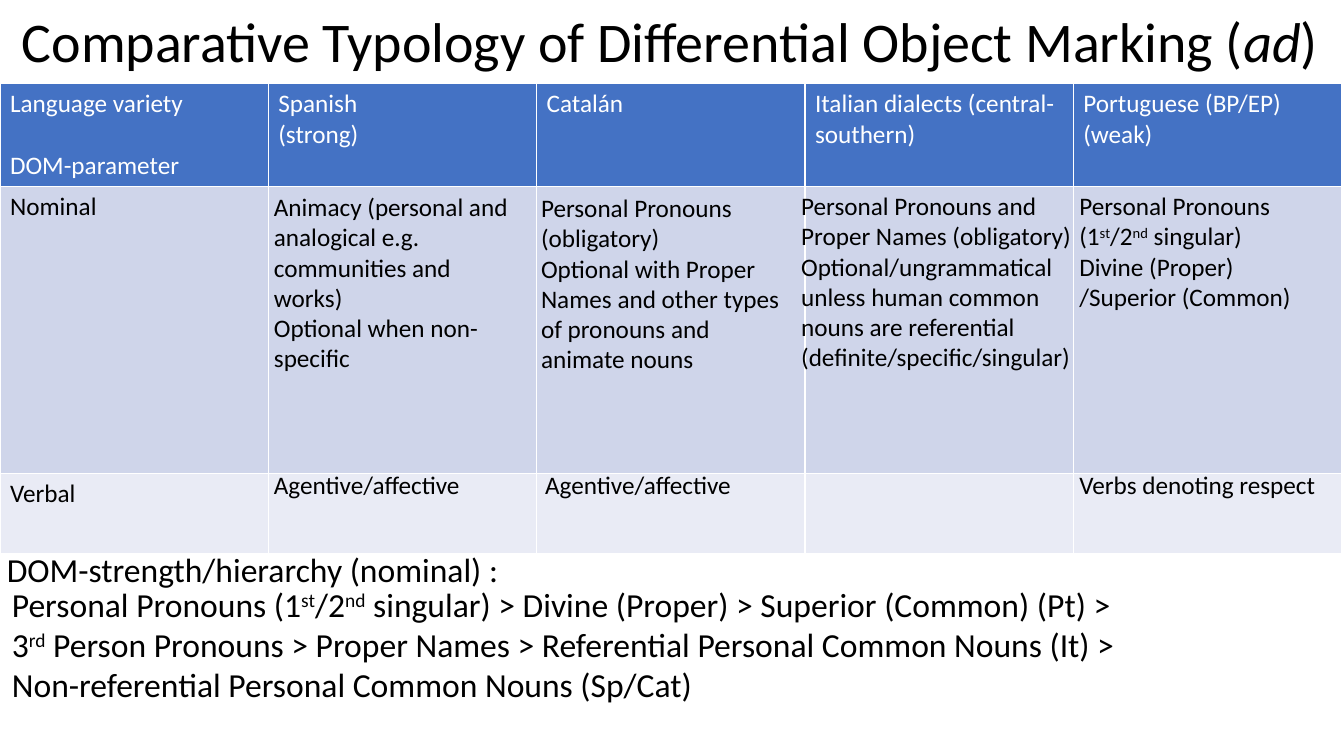
from lxml import etree
from pptx import Presentation
from pptx.dml.color import RGBColor
from pptx.enum.text import MSO_ANCHOR, MSO_AUTO_SIZE, PP_ALIGN
from pptx.oxml.ns import qn
from pptx.util import Pt

CENTER = PP_ALIGN.CENTER
MIDDLE = MSO_ANCHOR.MIDDLE
GROW = MSO_AUTO_SIZE.SHAPE_TO_FIT_TEXT
FIXED = MSO_AUTO_SIZE.NONE
TITLE_ONLY = 5

FONT = "Calibri"
COLORS = {"text": "000000", "white": "FFFFFF", "header": "4472C4",
          "nominal": "CFD5EA", "verbal": "E9EBF5"}

# In all texts, ^...^ marks superscript and *...* marks italics.
TITLE = "Comparative Typology of Differential Object Marking (*ad*)"
HEADERS = [
    ["Language variety", "DOM-parameter"],
    ["Spanish", "(strong)"],
    ["Catalán"],
    ["Italian dialects (central-southern)"],
    ["Portuguese (BP/EP) (weak)"],
]
PARAMETERS = ["Nominal", "Verbal"]

# Each entry: left, top, width, height, paragraphs
NOMINAL_ENTRIES = [
    (188.6, 133.2, 191.5, 138.2,
     ["Animacy (personal and analogical e.g. communities and works)",
      "Optional when non-specific"]),
    (379.4, 133.9, 191.5, 138.2,
     ["Personal Pronouns (obligatory)",
      "Optional with Proper Names and other types of pronouns and animate nouns"]),
    (565.2, 132.5, 211.7, 138.2,
     ["Personal Pronouns and Proper Names (obligatory)",
      "Optional/ungrammatical unless human common nouns are referential "
      "(definite/specific/singular)"]),
    (763.9, 132.5, 191.5, 116.6,
     ["Personal Pronouns (1^st^/2^nd^ singular)",
      "Divine (Proper) /Superior (Common)"]),
]
VERBAL_TOP, VERBAL_HEIGHT = 331.9, 28.8
VERBAL_ENTRIES = [
    (188.6, VERBAL_TOP, 191.5, VERBAL_HEIGHT, ["Agentive/affective"]),
    (382.3, VERBAL_TOP, 165.6, VERBAL_HEIGHT, ["Agentive/affective"]),
    (763.9, VERBAL_TOP, 191.5, VERBAL_HEIGHT, ["Verbs denoting respect"]),
]
HIERARCHY = [
    (-2.2, 388.8, 481, 36, ["DOM-strength/hierarchy (nominal) :"]),
    (1.4, 413.3, 960, 94.3,
     ["Personal Pronouns (1^st^/2^nd^ singular) > Divine (Proper) > "
      "Superior (Common) (Pt) >",
      "3^rd^ Person Pronouns > Proper Names > "
      "Referential Personal Common Nouns (It) >",
      "Non-referential Personal Common Nouns (Sp/Cat)"]),
]

TABLE_LEFT, TABLE_TOP, TABLE_WIDTH = 0, 59.8, 958.3
ROW_HEIGHTS = [73, 205.2, 57.6]


def color(name):
    """Return the named colour of the palette."""
    return RGBColor.from_string(COLORS[name])


def write_text(frame, paragraphs, size=18, ink="text", align=None,
               line_spacing=None, gap=0):
    """Fill a text frame with paragraphs; gap is the space between them."""
    frame.word_wrap = True
    for index, text in enumerate(paragraphs):
        paragraph = frame.paragraphs[0] if index == 0 else frame.add_paragraph()
        paragraph.alignment = align
        paragraph.line_spacing = line_spacing
        paragraph.space_before = Pt(gap if index else 0)
        for raised_index, part in enumerate(text.split("^")):
            for italic_index, piece in enumerate(part.split("*")):
                if not piece:
                    continue
                run = paragraph.add_run()
                run.text = piece
                run.font.name = FONT
                run.font.size = Pt(size)
                run.font.bold = False
                run.font.italic = italic_index % 2 == 1
                run.font.color.rgb = color(ink)
                if raised_index % 2:
                    run._r.get_or_add_rPr().set("baseline", "30000")


def style_cell(cell, fill):
    """Give a cell its fill and thin white borders."""
    properties = cell._tc.get_or_add_tcPr()
    for side in ("a:lnL", "a:lnR", "a:lnT", "a:lnB"):
        line = etree.SubElement(properties, qn(side), w=str(Pt(1)))
        solid = etree.SubElement(line, qn("a:solidFill"))
        etree.SubElement(solid, qn("a:srgbClr"), val=COLORS["white"])
    cell.fill.solid()
    cell.fill.fore_color.rgb = color(fill)


def add_title(slide):
    """Place and fill the title placeholder."""
    title = slide.shapes.title
    title.left, title.top, title.width, title.height = (
        Pt(-0.7), Pt(0), Pt(958.3), Pt(63.4))
    title.text_frame.auto_size = FIXED
    title.text_frame.vertical_anchor = MIDDLE
    write_text(title.text_frame, [TITLE], size=40, align=CENTER, line_spacing=0.9)


def add_typology_table(slide):
    """Add the grid of language varieties and DOM parameters."""
    table = slide.shapes.add_table(
        len(ROW_HEIGHTS), len(HEADERS), Pt(TABLE_LEFT), Pt(TABLE_TOP),
        Pt(TABLE_WIDTH), Pt(sum(ROW_HEIGHTS))).table
    for column in table.columns:
        column.width = Pt(TABLE_WIDTH / len(HEADERS))
    for row, height, fill in zip(table.rows, ROW_HEIGHTS,
                                 ("header", "nominal", "verbal")):
        row.height = Pt(height)
        for cell in row.cells:
            style_cell(cell, fill)
    for index, header in enumerate(HEADERS):
        write_text(table.cell(0, index).text_frame, header, ink="white",
                   gap=0 if index else 22)
    for index, parameter in enumerate(PARAMETERS, start=1):
        write_text(table.cell(index, 0).text_frame, [parameter])


def add_text_box(slide, entry, size):
    """Add one text box from its place and paragraphs."""
    *place, paragraphs = entry
    frame = slide.shapes.add_textbox(*map(Pt, place)).text_frame
    write_text(frame, paragraphs, size=size)
    frame.auto_size = GROW


presentation = Presentation()
presentation.slide_width, presentation.slide_height = Pt(960), Pt(540)
slide = presentation.slides.add_slide(presentation.slide_layouts[TITLE_ONLY])
add_title(slide)
add_typology_table(slide)
for entries, size in ((HIERARCHY, 24), (NOMINAL_ENTRIES, 18), (VERBAL_ENTRIES, 18)):
    for entry in entries:
        add_text_box(slide, entry, size)
presentation.save("out.pptx")
